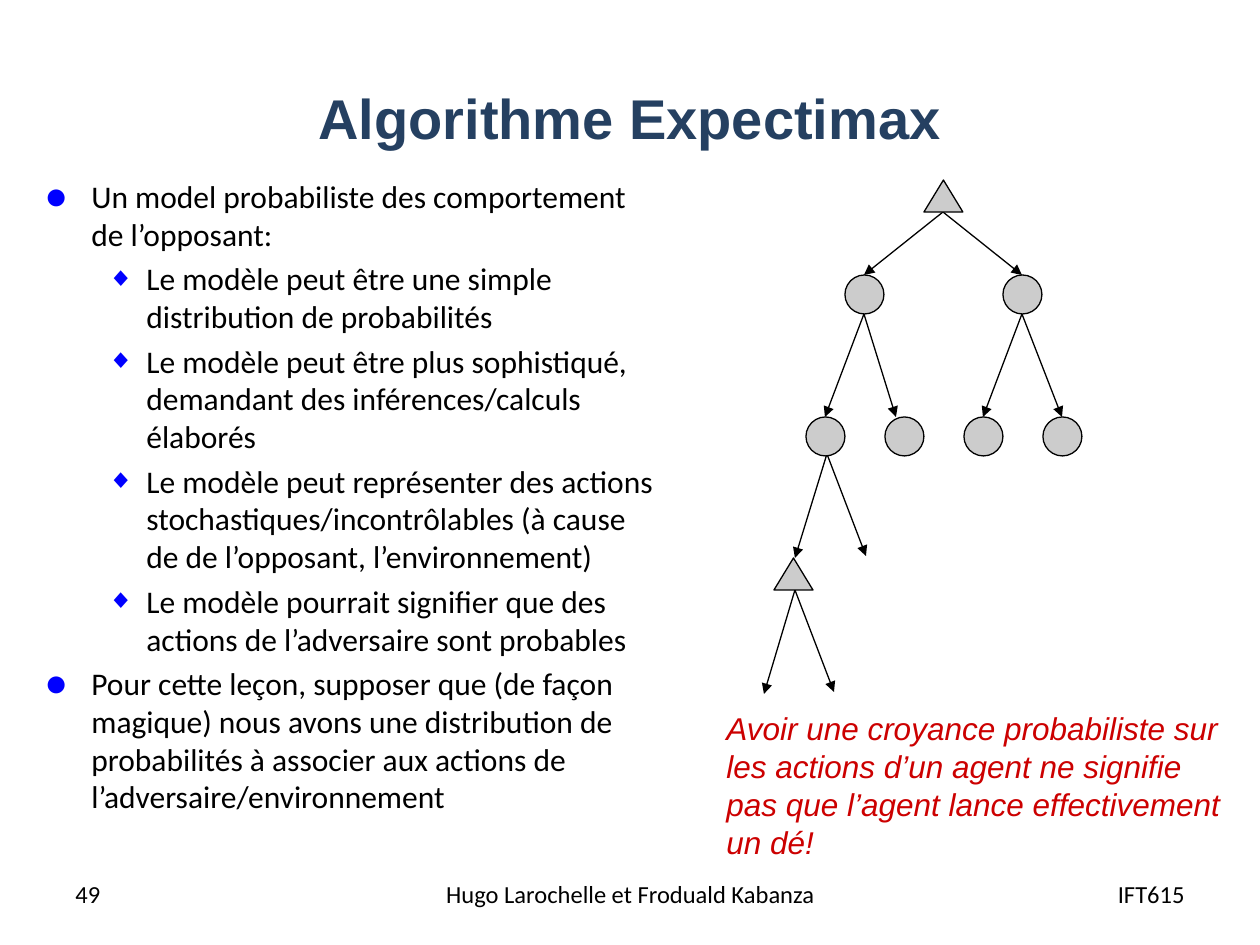
from lxml import etree
from pptx import Presentation
from pptx.dml.color import RGBColor
from pptx.enum.shapes import MSO_CONNECTOR, MSO_SHAPE
from pptx.enum.text import MSO_ANCHOR, PP_ALIGN
from pptx.oxml.ns import qn
from pptx.util import Pt

LEFT, MID, RIGHT = PP_ALIGN.LEFT, PP_ALIGN.CENTER, PP_ALIGN.RIGHT
TOP, HALF = MSO_ANCHOR.TOP, MSO_ANCHOR.MIDDLE
TRI, OVAL = MSO_SHAPE.ISOSCELES_TRIANGLE, MSO_SHAPE.OVAL
LINE = MSO_CONNECTOR.STRAIGHT
PX = 914400 // 126

# Content
TITLE = "Algorithme Expectimax"
POINTS = [
    (0, "Un model probabiliste des comportement de l’opposant:"),
    (1, "Le modèle peut être une simple distribution de probabilités"),
    (1, "Le modèle peut être plus sophistiqué, demandant des inférences/calculs élaborés"),
    (1, "Le modèle peut représenter des actions stochastiques/incontrôlables "
        "(à cause de de l’opposant, l’environnement)"),
    (1, "Le modèle pourrait signifier que des actions de l’adversaire sont probables"),
    (0, "Pour cette leçon, supposer que (de façon magique) nous avons une distribution "
        "de probabilités à associer aux actions de l’adversaire/environnement"),
]
NOTE = ("Avoir une croyance probabiliste sur les actions d’un agent ne signifie "
        "pas que l’agent lance effectivement un dé!")
FOOT = [  # text, left, width, alignment
    ("49", 63, 294, LEFT),
    ("Hugo Larochelle et Froduald Kabanza", 431, 399, MID),
    ("IFT615", 903, 294, RIGHT),
]
# Level: indent, hang, bullet, bullet size in percent
LEVELS = [(47, 47, "●", 125), (102, 39, "◆", 85)]

# Tree: shape, height, top, node centres
SIZE = 39
ROWS = [
    (TRI, 32, 180, [943]),
    (OVAL, SIZE, 275, [864, 1022]),
    (OVAL, SIZE, 417, [825, 904, 983, 1062]),
    (TRI, 32, 558, [793]),
]
# Arrows: start point, end points
EDGES = [
    ((943, 212), [(864, 275), (1022, 275)]),
    ((864, 314), [(825, 417), (896, 417)]),
    ((1022, 314), [(983, 417), (1062, 417)]),
    ((827, 454), [(866, 556), (795, 558)]),
    ((795, 590), [(834, 692), (764, 694)]),
]


def rgb(code):
    return RGBColor.from_string(code)


def style(par, size, face, code, bold=False, slant=False):
    for run in par.runs:
        font = run.font
        font.size, font.name = Pt(size), face
        font.bold, font.italic = bold, slant
        font.color.rgb = rgb(code)


def put(box):
    return [n * PX for n in box]


def text(box, words, anchor=TOP):
    frame = slide.shapes.add_textbox(*put(box)).text_frame
    frame.word_wrap = True
    frame.vertical_anchor = anchor
    frame.text = words
    return frame


def bullet(par, level):
    indent, hang, mark, size = LEVELS[level]
    props = par._p.get_or_add_pPr()
    props.set("marL", str(indent * PX))
    props.set("indent", str(-hang * PX))
    color = etree.SubElement(props, qn("a:buClr"))
    etree.SubElement(color, qn("a:srgbClr"), val="0000FF")
    etree.SubElement(props, qn("a:buSzPct"), val=str(size * 1000))
    etree.SubElement(props, qn("a:buFont"), typeface="Arial")
    etree.SubElement(props, qn("a:buChar"), char=mark)


def arrow(start, end):
    link = slide.shapes.add_connector(LINE, *put(start + end))
    link.line.color.rgb = rgb("000000")
    link.line.width = Pt(0.75)
    etree.SubElement(link.line._get_or_add_ln(), qn("a:tailEnd"), type="triangle")
    etree.SubElement(link._element.spPr, qn("a:effectLst"))


def node(kind, mid, top, high):
    shape = slide.shapes.add_shape(kind, *put((mid - SIZE // 2, top, SIZE, high)))
    shape.shadow.inherit = False
    shape.fill.solid()
    shape.fill.fore_color.rgb = rgb("CCCCCC")
    shape.line.color.rgb = rgb("000000")
    shape.line.width = Pt(0.75)


deck = Presentation()
deck.slide_width, deck.slide_height = put((1260, 945))
slide = deck.slides.add_slide(deck.slide_layouts[5])

# Title
title = slide.shapes.title
title.left, title.top, title.width, title.height = put((63, 38, 1134, 158))
title.text_frame.text = TITLE
title.text_frame.vertical_anchor = HALF
head = title.text_frame.paragraphs[0]
head.alignment = MID
style(head, 32, "Arial", "254061", bold=True)

# Bullet list
body = text((32, 171, 639, 667), POINTS[0][1])
for level, words in POINTS[1:]:
    par = body.add_paragraph()
    par.text = words
    par.level = level
    par.space_before = Pt(3.8)
for par, (level, words) in zip(body.paragraphs, POINTS):
    bullet(par, level)
    style(par, 18, "Calibri", "000000")

# Footer
for words, left, width, align in FOOT:
    par = text((left, 861, width, 66), words, HALF).paragraphs[0]
    par.alignment = align
    style(par, 14, "Calibri", "000000")

# Tree
for start, ends in EDGES:
    for end in ends:
        arrow(start, end)
for kind, high, top, mids in ROWS:
    for mid in mids:
        node(kind, mid, top, high)

# Remark
note = text((714, 703, 536, 165), NOTE)
style(note.paragraphs[0], 18, "Arial", "CC0000", slant=True)

deck.save("out.pptx")
